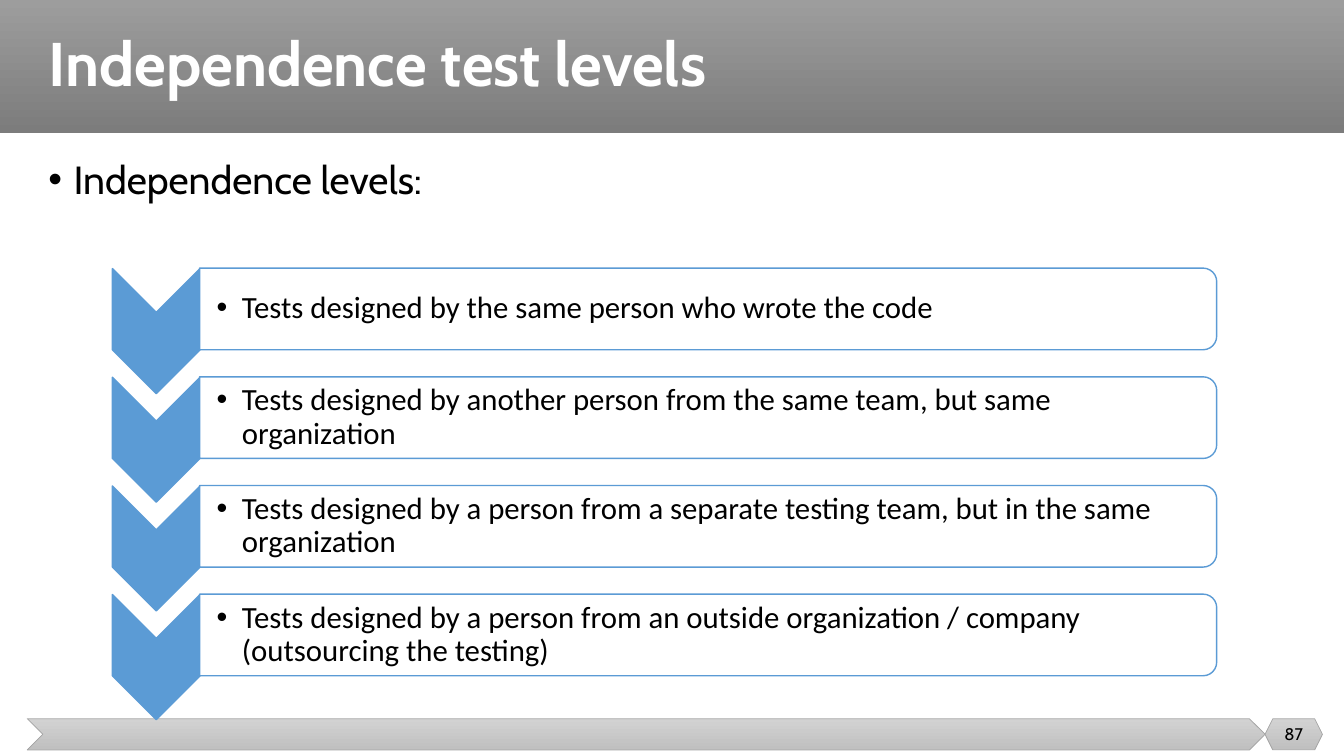
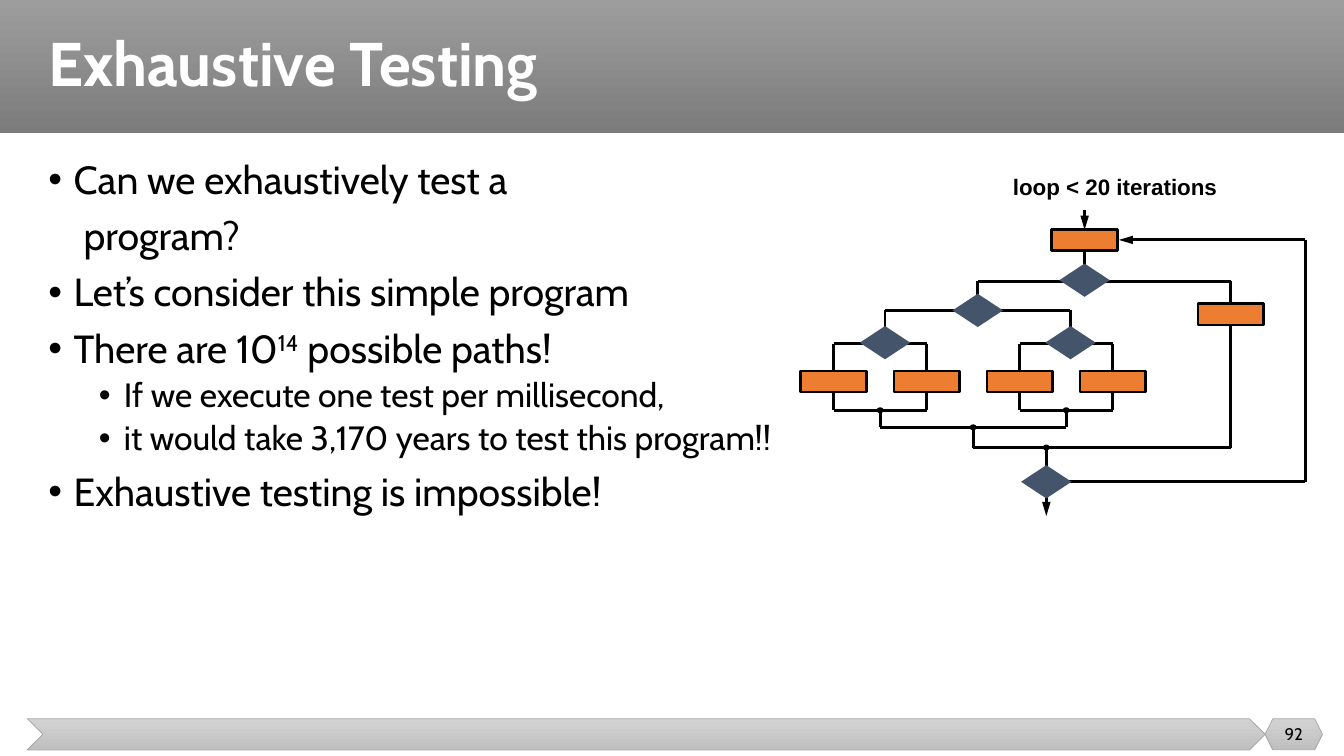
import pptx
import pptx.dml.color
import pptx.enum.dml
import pptx.enum.shapes
import pptx.enum.text
import pptx.oxml
import pptx.oxml.ns
import pptx.util

COLOURS = {
    "black": "000000", "white": "FFFFFF",
    "band_top": "9D9D9D", "band_bottom": "7C7C7C",
    "footer_top": "D2D2D2", "footer_bottom": "C0C0C0", "footer_edge": "A5A5A5",
    "level": "5B9BD5", "step": "ED7D31", "decision": "44546A",
}
SHAPE = pptx.enum.shapes.MSO_SHAPE
ALIGN = pptx.enum.text.PP_ALIGN
MIDDLE = pptx.enum.text.MSO_ANCHOR.MIDDLE
WIDTH, HEIGHT = 133.33, 75  # grid columns and rows, ten to the inch


def grid(count):
    return pptx.util.Inches(count / 10)


def colour(name):
    return pptx.dml.color.RGBColor.from_string(COLOURS[name])


def append_xml(parent, tag, **attributes):
    element = pptx.oxml.parse_xml(f"<a:{tag} {pptx.oxml.ns.nsdecls('a')}/>")
    for name, value in attributes.items():
        element.set(name, value)
    parent.append(element)


class Deck:
    """Holds the shared style and the current page."""

    def __init__(self):
        self.deck = pptx.Presentation()
        self.deck.slide_width, self.deck.slide_height = grid(WIDTH), grid(HEIGHT)
        self.page = None

    def new_page(self, title, number):
        self.page = self.deck.slides.add_slide(self.deck.slide_layouts[1])
        band = self.shape(SHAPE.RECTANGLE, 0, 0, WIDTH, 13.2, ("band_top", "band_bottom"))
        tree = self.page.shapes._spTree
        tree.remove(band._element)
        tree.insert(2, band._element)  # behind the title

        footer = ("footer_top", "footer_bottom")
        self.shape(SHAPE.CHEVRON, 2.7, 71.3, 122.8, 3.1, footer, "footer_edge", 0.5)
        badge = self.shape(SHAPE.HEXAGON, 125.5, 71.3, 5.7, 3.1, footer, "footer_edge", 0.5)
        frame = self.frame(badge, insets=(0, 0, 0, 0), anchor=MIDDLE, wrap=False)
        self.paragraph(frame, [number], 12, align=ALIGN.CENTER)

        box = self.place(self.page.shapes.title, 3.8, 0, 127.4, 13.2)
        frame = self.frame(box, anchor=MIDDLE)
        self.paragraph(frame, [title], 44, "white", bold=True, spacing=0.9)

    def place(self, box, left, top, width, height):
        box.left, box.top, box.width, box.height = map(grid, (left, top, width, height))
        return box

    def frame(self, box, insets=(1, 0.5, 1, 0.5), anchor=pptx.enum.text.MSO_ANCHOR.TOP,
              wrap=True):
        frame = box.text_frame
        frame.auto_size = pptx.enum.text.MSO_AUTO_SIZE.NONE
        frame.word_wrap, frame.vertical_anchor = wrap, anchor
        (frame.margin_left, frame.margin_top,
         frame.margin_right, frame.margin_bottom) = map(grid, insets)
        return frame

    def paragraph(self, frame, runs, size, ink="black", font="Cabin", bold=False,
                  align=ALIGN.LEFT, spacing=1.0, before=0, level=0, indent=0, bullet=None):
        """Add a paragraph; a run given as a tuple is superscript."""
        para = frame.paragraphs[0]
        first = not para.runs
        if not first:
            para = frame.add_paragraph()
        properties = para._p.get_or_add_pPr()
        properties.set("marL", str(grid(indent)))
        properties.set("indent", str(grid(-2.5) if bullet else 0))
        if bullet:
            append_xml(properties, "buFont", typeface="Arial")
            append_xml(properties, "buChar", char=bullet)
        else:
            append_xml(properties, "buNone")
        para.level, para.alignment, para.line_spacing = level, align, spacing
        para.space_before = pptx.util.Pt(0 if first else before)
        for words in runs:
            span = para.add_run()
            span.text = words[0] if isinstance(words, tuple) else words
            span.font.name, span.font.size = font, pptx.util.Pt(size)
            span.font.bold, span.font.color.rgb = bold, colour(ink)
            if isinstance(words, tuple):
                span.font._element.set("baseline", "30000")

    def body(self, items):
        """Fill the body from (kind, runs) pairs."""
        styles = {
            "main": dict(size=28, before=10, indent=2.5, bullet="•"),
            "continued": dict(size=28, before=10, indent=3.5),
            "sub": dict(size=24, before=5, indent=7.5, bullet="•", level=1),
        }
        frame = self.frame(self.place(self.page.placeholders[1], 3.8, 15.4, 127.4, 51.9))
        for kind, runs in items:
            self.paragraph(frame, runs, spacing=0.9, **styles[kind])

    def text_box(self, left, top, width, height, **layout):
        box = self.page.shapes.add_textbox(*map(grid, (left, top, width, height)))
        return self.frame(box, **layout)

    def shape(self, kind, left, top, width, height, fill, line=None, weight=1, turn=0):
        """Add a preset shape; a pair of fill names runs from top to bottom."""
        shape = self.page.shapes.add_shape(kind, *map(grid, (left, top, width, height)))
        shape.shadow.inherit = False
        shape.rotation = turn
        if isinstance(fill, tuple):
            shape.fill.gradient()
            shape.fill.gradient_angle = 270
            for stop, name in zip(shape.fill.gradient_stops, fill):
                stop.color.rgb = colour(name)
        else:
            shape.fill.solid()
            shape.fill.fore_color.rgb = colour(fill)
        if line:
            shape.line.color.rgb = colour(line)
            shape.line.width = pptx.util.Pt(weight)
        else:
            shape.line.fill.background()
        return shape

    def centred(self, kind, x, y, width, height, fill, line=None, weight=1, turn=0):
        return self.shape(kind, x - width / 2, y - height / 2, width, height,
                          fill, line, weight, turn)

    def level(self, y, words):
        """Add one chevron with its panel, centred on row y."""
        self.centred(SHAPE.CHEVRON, 15.5, y + 2.2, 12.4, 8.7, "level", "level", turn=90)
        self.centred(SHAPE.ROUND_2_SAME_RECTANGLE, 70.25, y, 8.1, 100.9,
                     "white", "level", turn=90)
        frame = self.text_box(19.8, y - 3.65, 100.5, 7.3,
                              insets=(1.7, 0.2, 0.4, 0.2), anchor=MIDDLE)
        self.paragraph(frame, [words], 22, font="Calibri", spacing=0.9,
                       indent=2.5, bullet="•")

    def route(self, *points, arrow=False):
        """Join the points with straight lines, with an arrowhead at the end if asked."""
        for start, end in zip(points, points[1:]):
            line = self.page.shapes.add_connector(
                pptx.enum.shapes.MSO_CONNECTOR.STRAIGHT, *map(grid, start + end))
            line.line.color.rgb = colour("black")
            line.line.width = pptx.util.Pt(2)
            if arrow and end == points[-1]:
                append_xml(line.line._get_or_add_ln(), "tailEnd",
                           type="triangle", w="med", len="lg")
            append_xml(line._element.spPr, "effectLst")

    def bracket(self, left, right, rail, left_end, right_end=None):
        """Run along row rail, with an arm up or down at each side."""
        right_end = left_end if right_end is None else right_end
        self.route((left, left_end), (left, rail), (right, rail), (right, right_end))

    def step(self, x, y):
        self.centred(SHAPE.RECTANGLE, x, y, 6.5, 2.1, "step", "black", 2)

    def decision(self, x, y):
        self.centred(SHAPE.DIAMOND, x, y, 5, 3.3, "decision")

    def junction(self, x, y):
        self.centred(SHAPE.OVAL, x, y, 0.4, 0.3, "black", "black", 2)


def independence_page(deck):
    deck.new_page("Independence test levels", "87")
    deck.body([("main", ["Independence levels:"])])
    levels = [
        "Tests designed by the same person who wrote the code",
        "Tests designed by another person from the same team, but same organization",
        "Tests designed by a person from a separate testing team, but in the same organization",
        "Tests designed by a person from an outside organization / company "
        "(outsourcing the testing)",
    ]
    for index, words in enumerate(levels):
        deck.level(30.65 + 10.78 * index, words)


def exhaustive_page(deck):
    deck.new_page("Exhaustive Testing", "92")
    deck.body([
        ("main", ["Can we exhaustively test a"]),
        ("continued", ["program?"]),
        ("main", ["Let’s consider this simple program"]),
        ("main", ["There are 10", ("14",), " possible paths!"]),
        ("sub", ["If we execute one test per millisecond,"]),
        ("sub", ["it would take 3,170 years to test this program!!"]),
        ("main", ["Exhaustive testing is impossible!"]),
    ])
    label = deck.text_box(99.5, 16.7, 22.5, 3.7, wrap=False)
    deck.paragraph(label, ["loop < 20 iterations"], 16, font="Arial", bold=True)

    entry, side, loop, finish = 107.6, 122.1, 129.5, 103.8
    forks = (87.8, 106.2)
    leaves = [82.7 + 9.23 * index for index in range(4)]
    pairs = (leaves[:2], leaves[2:])
    joins = [sum(pair) / 2 for pair in pairs]
    middle = sum(joins) / 2

    deck.route((entry, 20.8), (entry, 22.8), arrow=True)
    deck.route((entry, 24.8), (entry, 26.3))
    deck.bracket(97, side, 27.9, 29.4, 30.2)
    deck.bracket(*forks, 30.8, 32.4)
    for pair, join in zip(pairs, joins):
        deck.bracket(*pair, 34.1, 36.8)
        deck.bracket(*pair, 40.7, 38.9)
        deck.junction(join, 40.7)
    deck.bracket(*joins, 42.4, 40.7)
    deck.junction(middle, 42.4)
    deck.bracket(middle, side, 44.4, 42.4, 32.2)
    deck.junction(finish, 44.4)
    deck.route((finish, 44.4), (finish, 46.3))
    deck.route((finish, 47.8), (loop, 47.8), (loop, 23.8), (111, 23.8), arrow=True)
    deck.route((finish, 49.3), (finish, 51.2), arrow=True)

    for x, y in [(entry, 23.8), (side, 31.2)] + [(leaf, 37.85) for leaf in leaves]:
        deck.step(x, y)
    for x, y in [(entry, 27.8), (97, 30.8), (finish, 47.8)] + [(fork, 34) for fork in forks]:
        deck.decision(x, y)


def main():
    deck = Deck()
    independence_page(deck)
    exhaustive_page(deck)
    deck.deck.save("out.pptx")


if __name__ == "__main__":
    main()
